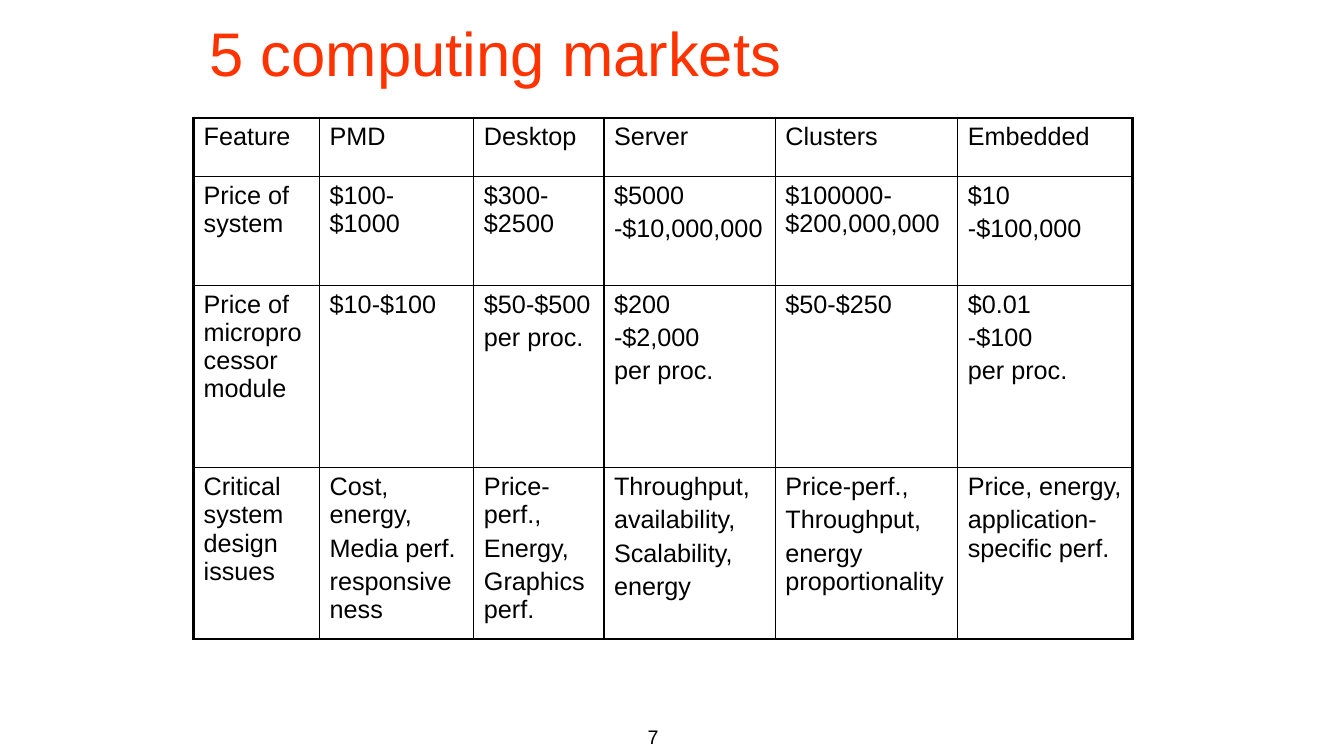
import pptx
import pptx.dml.color
import pptx.enum.shapes
import pptx.enum.text
import pptx.oxml.ns
import pptx.util
from lxml import etree

Inches = pptx.util.Inches
Pt = pptx.util.Pt
qn = pptx.oxml.ns.qn
RGBColor = pptx.dml.color.RGBColor
ALIGN = pptx.enum.text.PP_ALIGN
ANCHOR = pptx.enum.text.MSO_ANCHOR

COLORS = {"title": "FF3300", "text": "000000", "border": "000000", "back": "FFFFFF"}
THIN, THICK = 1, 2.25

COLUMN_WIDTHS = [1.25, 1.53, 1.29, 1.7, 1.81, 1.73]
ROW_HEIGHTS = [0.58, 1.08, 1.81, 1.44]
# Each line within a cell is its own paragraph.
MARKETS = [
    ["Feature", "PMD", "Desktop", "Server", "Clusters", "Embedded"],
    ["Price of system", "$100-$1000", "$300-$2500", "$5000\n-$10,000,000",
     "$100000-$200,000,000", "$10\n-$100,000"],
    ["Price of microprocessor module", "$10-$100", "$50-$500\nper proc.",
     "$200\n-$2,000\nper proc.", "$50-$250", "$0.01\n-$100\nper proc."],
    ["Critical system design issues",
     "Cost, energy,\nMedia perf.\nresponsiveness",
     "Price-perf.,\nEnergy,\nGraphics perf.",
     "Throughput,\navailability,\nScalability,\nenergy",
     "Price-perf.,\nThroughput,\nenergy proportionality",
     "Price, energy,\napplication-specific perf."],
]


def write_text(frame, text, size, color, percent_before=0, align=ALIGN.LEFT):
    """Write one paragraph per line, spaced by a percentage of the line."""
    frame.word_wrap = True
    for index, line in enumerate(text.split("\n")):
        para = frame.paragraphs[0] if index == 0 else frame.add_paragraph()
        para.alignment = align
        spacing = etree.SubElement(para._p.get_or_add_pPr(), qn("a:spcBef"))
        etree.SubElement(spacing, qn("a:spcPct"), val=str(percent_before * 1000))
        span = para.add_run()
        span.text = line
        span.font.name = "Arial"
        span.font.size = Pt(size)
        span.font.color.rgb = RGBColor.from_string(COLORS[color])


def add_border(cell, side, width):
    """Draw one cell edge; side is L, R, T or B."""
    line = etree.SubElement(cell._tc.get_or_add_tcPr(), qn(f"a:ln{side}"),
                            w=str(Pt(width)))
    fill = etree.SubElement(line, qn("a:solidFill"))
    etree.SubElement(fill, qn("a:srgbClr"), val=COLORS["border"])


deck = pptx.Presentation()
deck.slide_width = Inches(13.33)
deck.slide_height = Inches(7.5)
page = deck.slides.add_slide(deck.slide_layouts[6])

number_box = page.shapes.add_textbox(Inches(3.85), Inches(7.14), Inches(2.78), Inches(0.5))
write_text(number_box.text_frame, "7", 14, "text", percent_before=50, align=ALIGN.RIGHT)

title_box = page.shapes.add_shape(pptx.enum.shapes.MSO_SHAPE.RECTANGLE,
                                  Inches(1.98), Inches(0), Inches(9.43), Inches(1.02))
title_box.shadow.inherit = False
title_box.fill.solid()
title_box.fill.fore_color.rgb = RGBColor.from_string(COLORS["back"])
title_box.line.fill.background()
title_box.text_frame.vertical_anchor = ANCHOR.MIDDLE
write_text(title_box.text_frame, "5 computing markets", 44, "title")

last_row, last_column = len(ROW_HEIGHTS) - 1, len(COLUMN_WIDTHS) - 1
table = page.shapes.add_table(
    len(ROW_HEIGHTS), len(COLUMN_WIDTHS), Inches(1.92), Inches(1.17),
    Inches(sum(COLUMN_WIDTHS)), Inches(sum(ROW_HEIGHTS))).table
table.first_row = False
table.horz_banding = False
for column, width in zip(table.columns, COLUMN_WIDTHS):
    column.width = Inches(width)
for row, height in zip(table.rows, ROW_HEIGHTS):
    row.height = Inches(height)

for r, texts in enumerate(MARKETS):
    for c, text in enumerate(texts):
        cell = table.cell(r, c)
        write_text(cell.text_frame, text, 18, "text", percent_before=20)
        outer_edges = {"L": c == 0, "R": c == last_column,
                       "T": r == 0, "B": r == last_row}
        for side, is_outer in outer_edges.items():
            add_border(cell, side, THICK if is_outer else THIN)
        cell.fill.background()

deck.save("out.pptx")
